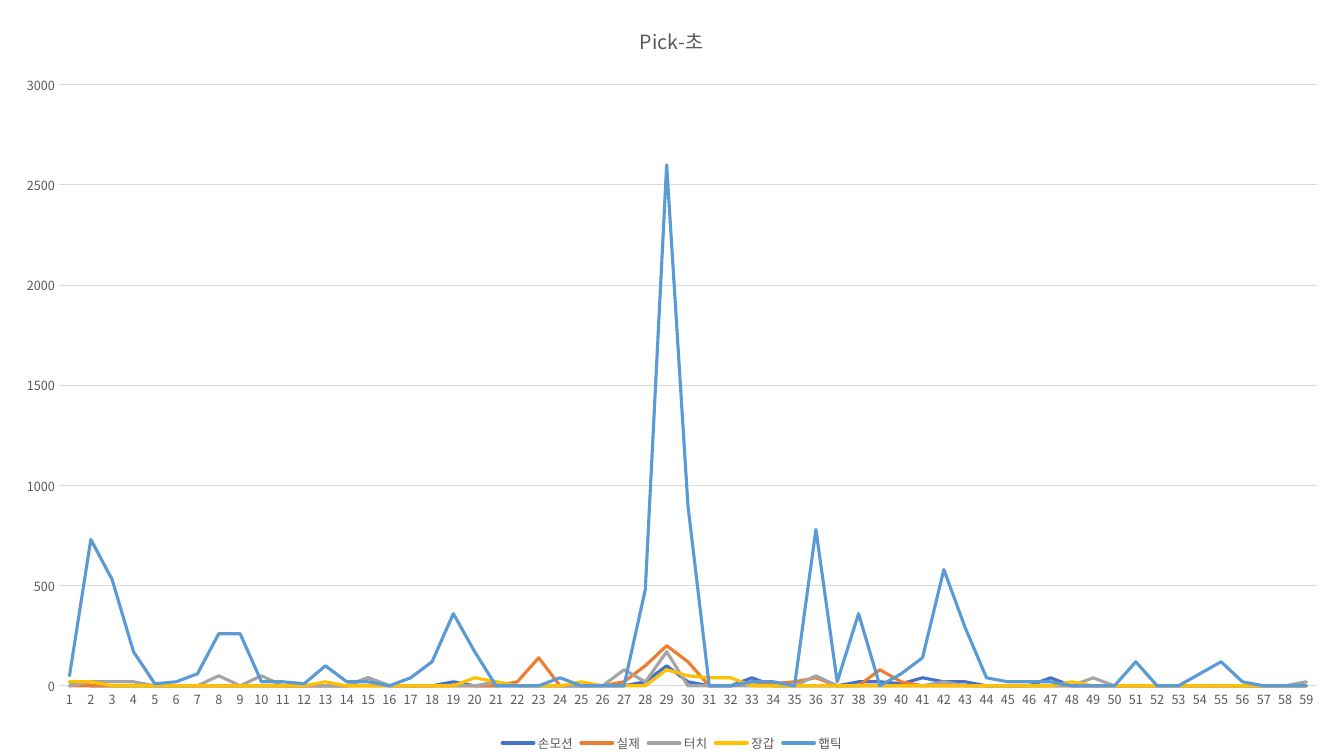
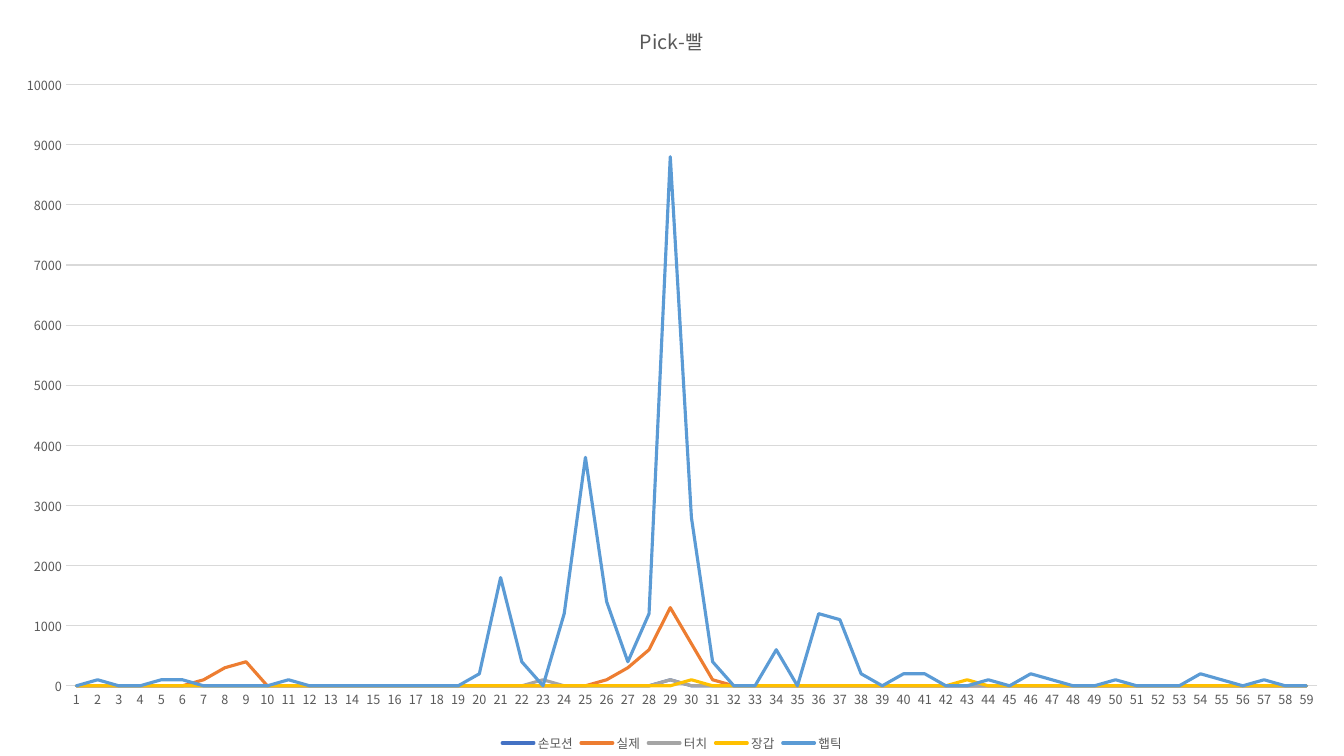
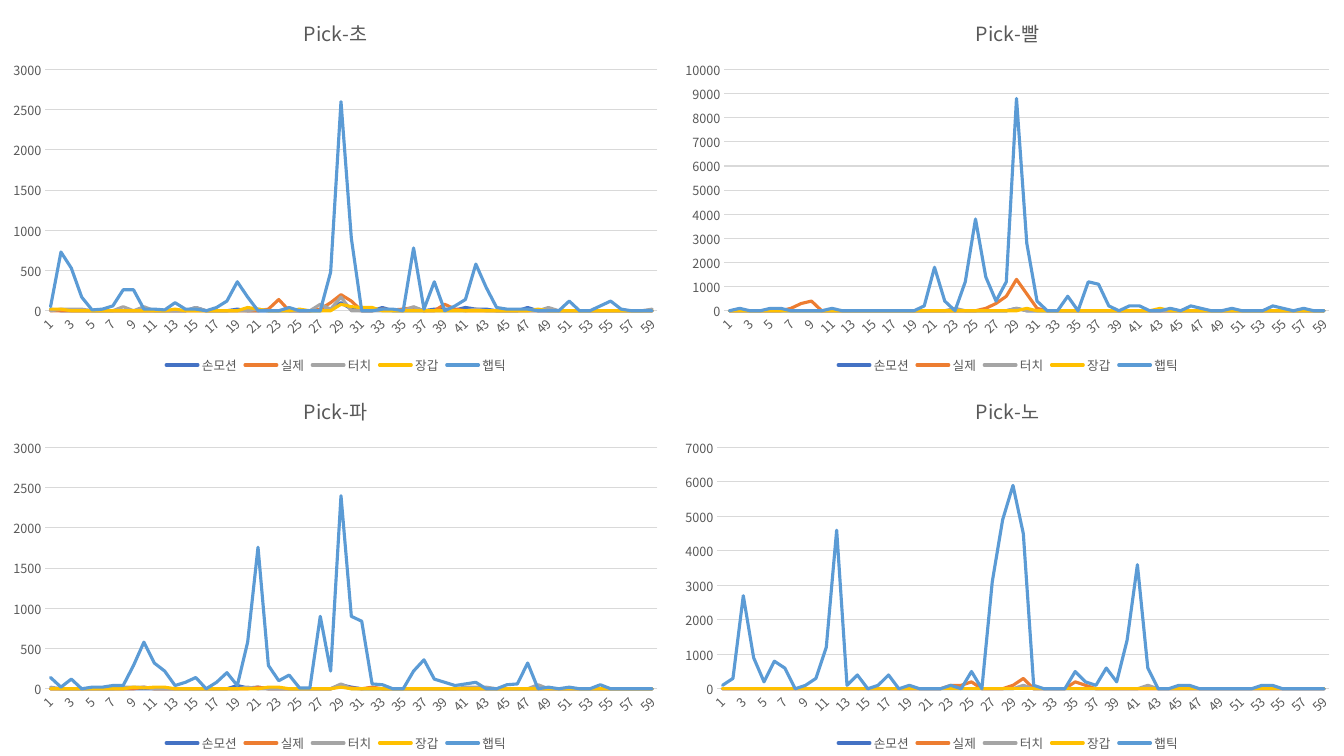
"""Build three slides of line charts comparing five pick input methods by colour."""
from lxml import etree
from pptx import Presentation
from pptx.chart.data import CategoryChartData
from pptx.dml.color import RGBColor
from pptx.enum.chart import XL_CHART_TYPE, XL_LEGEND_POSITION, XL_TICK_MARK
from pptx.oxml.ns import qn
from pptx.util import Pt

LINE_CHART = XL_CHART_TYPE.LINE
LEGEND_BOTTOM = XL_LEGEND_POSITION.BOTTOM
NO_TICK = XL_TICK_MARK.NONE

PX = 9072
PAGE_WIDTH, PAGE_HEIGHT = 1344, 756
POINT_COUNT = 59
FONT = "Noto Sans CJK KR"
COLORS = {
    "text": "595959",
    "grid": "D9D9D9",
    "손모션": "4472C4",
    "실제": "ED7D31",
    "터치": "A5A5A5",
    "장갑": "FFC000",
    "햅틱": "5B9BD5",
}

GREEN = {
    "title": "Pick-초",
    "runs": {
        "손모션": {1: [20], 15: [40], 19: [20], 28: [20, 100, 20], 33: [40],
                38: [20, 20, 10, 40, 20, 20], 47: [40]},
        "실제": {22: [20, 140], 27: [20, 100, 200, 120], 33: [20, 10, 20, 40],
               39: [80, 20]},
        "터치": {2: [20, 20, 20], 8: [50, 0, 50], 15: [40], 21: [20],
               27: [80, 20, 170], 36: [50], 42: [20], 49: [40], 59: [20]},
        "장갑": {1: [20, 20], 13: [20], 20: [40, 20], 25: [20],
               29: [80, 50, 40, 40], 48: [20]},
        "햅틱": {1: [50, 730, 530, 170, 10, 20, 60, 260, 260, 20, 20, 10, 100, 20, 20],
               17: [40, 120, 360, 170], 24: [40], 28: [480, 2600, 900], 33: [20, 20],
               36: [780, 20, 360, 0, 60, 140, 580, 290, 40, 20, 20, 20],
               51: [120], 54: [60, 120, 20]},
    },
}
RED = {
    "title": "Pick-빨",
    "runs": {
        "손모션": {29: [100]},
        "실제": {7: [100, 300, 400], 26: [100, 300, 600, 1300, 700, 100]},
        "터치": {23: [100], 29: [100]},
        "장갑": {30: [100], 43: [100]},
        "햅틱": {2: [100], 5: [100, 100], 11: [100],
               20: [200, 1800, 400, 0, 1200, 3800, 1400, 400, 1200, 8800, 2800, 400],
               34: [600, 0, 1200, 1100, 200, 0, 200, 200], 44: [100],
               46: [200, 100], 50: [100], 54: [200, 100, 0, 100]},
    },
}
BLUE = {
    "title": "Pick-파",
    "runs": {
        "손모션": {19: [40, 10, 20], 29: [50, 20]},
        "실제": {10: [20], 21: [20], 29: [40, 10], 32: [20]},
        "터치": {1: [20], 8: [20, 20, 20], 20: [20], 29: [60], 41: [20, 20, 20], 48: [50]},
        "장갑": {9: [20, 10, 20, 20], 22: [20, 20], 29: [20]},
        "햅틱": {1: [140, 20, 120, 0, 20, 20, 40, 40, 290, 580, 320, 220, 40, 80, 140],
               17: [80, 200, 40, 580, 1760, 290, 100, 170, 10, 10,
                    900, 220, 2400, 900, 840, 60, 50],
               36: [220, 360, 120, 80, 40, 60, 80], 45: [50, 60, 320, 0, 20],
               51: [20], 54: [50]},
    },
}
YELLOW = {
    "title": "Pick-노",
    "runs": {
        "손모션": {},
        "실제": {23: [100, 100, 200], 29: [100, 300], 35: [200, 100]},
        "터치": {30: [100], 42: [100]},
        "장갑": {},
        "햅틱": {1: [100, 300, 2700, 900, 200, 800, 600, 0, 100, 300, 1200, 4600, 100, 400],
               16: [100, 400, 0, 100], 23: [100, 0, 500],
               27: [3100, 4900, 5900, 4500, 100],
               35: [500, 200, 100, 600, 200, 1400, 3600, 600],
               45: [100, 100], 53: [100, 100]},
    },
}
PAGES = [(1, [GREEN]), (1, [RED]), (2, [GREEN, RED, BLUE, YELLOW])]


def spread(runs):
    values = [0] * POINT_COUNT
    for start, run in runs.items():
        values[start - 1:start - 1 + len(run)] = run
    return values


def style_font(font, size):
    font.size = Pt(size)
    font.name = FONT
    font.bold = False
    font.color.rgb = RGBColor.from_string(COLORS["text"])


def style_line(line, color, width):
    line.color.rgb = RGBColor.from_string(COLORS[color])
    line.width = Pt(width)


def refine_xml(root):
    for body in root.iterfind(f".//{qn('c:txPr')}/{qn('a:bodyPr')}"):
        body.set("rot", "-60000000")
    for line in root.iterfind(f".//{qn('c:ser')}/{qn('c:spPr')}/{qn('a:ln')}"):
        line.set("cap", "rnd")
    for latin in list(root.iter(qn("a:latin"))):
        latin.addnext(etree.Element(qn("a:ea"), typeface=FONT))


def add_line_chart(page, content, left, top, width, height):
    data = CategoryChartData()
    data.categories = [str(number) for number in range(1, POINT_COUNT + 1)]
    for name, runs in content["runs"].items():
        data.add_series(name, spread(runs))
    chart = page.shapes.add_chart(
        LINE_CHART, left * PX, top * PX, width * PX, height * PX, data).chart
    style_font(chart.font, 10)

    chart.has_title = True
    span = chart.chart_title.text_frame.paragraphs[0].add_run()
    span.text = content["title"]
    style_font(span.font, 14)

    chart.has_legend = True
    chart.legend.position = LEGEND_BOTTOM
    chart.legend.include_in_layout = False
    style_font(chart.legend.font, 9)

    for axis in (chart.category_axis, chart.value_axis):
        axis.major_tick_mark = axis.minor_tick_mark = NO_TICK
        style_font(axis.tick_labels.font, 9)
    style_line(chart.category_axis.format.line, "grid", 0.75)
    chart.value_axis.format.line.fill.background()
    style_line(chart.value_axis.major_gridlines.format.line, "grid", 0.75)

    for series in chart.plots[0].series:
        series.smooth = False
        style_line(series.format.line, series.name, 2.25)
    refine_xml(chart.element)


def main():
    deck = Presentation()
    deck.slide_width, deck.slide_height = PAGE_WIDTH * PX, PAGE_HEIGHT * PX
    for columns, charts in PAGES:
        page = deck.slides.add_slide(deck.slide_layouts[6])
        width, height = PAGE_WIDTH // columns, PAGE_HEIGHT // columns
        for index, content in enumerate(charts):
            row, column = divmod(index, columns)
            add_line_chart(page, content, column * width, row * height, width, height)
    deck.save("out.pptx")


if __name__ == "__main__":
    main()
